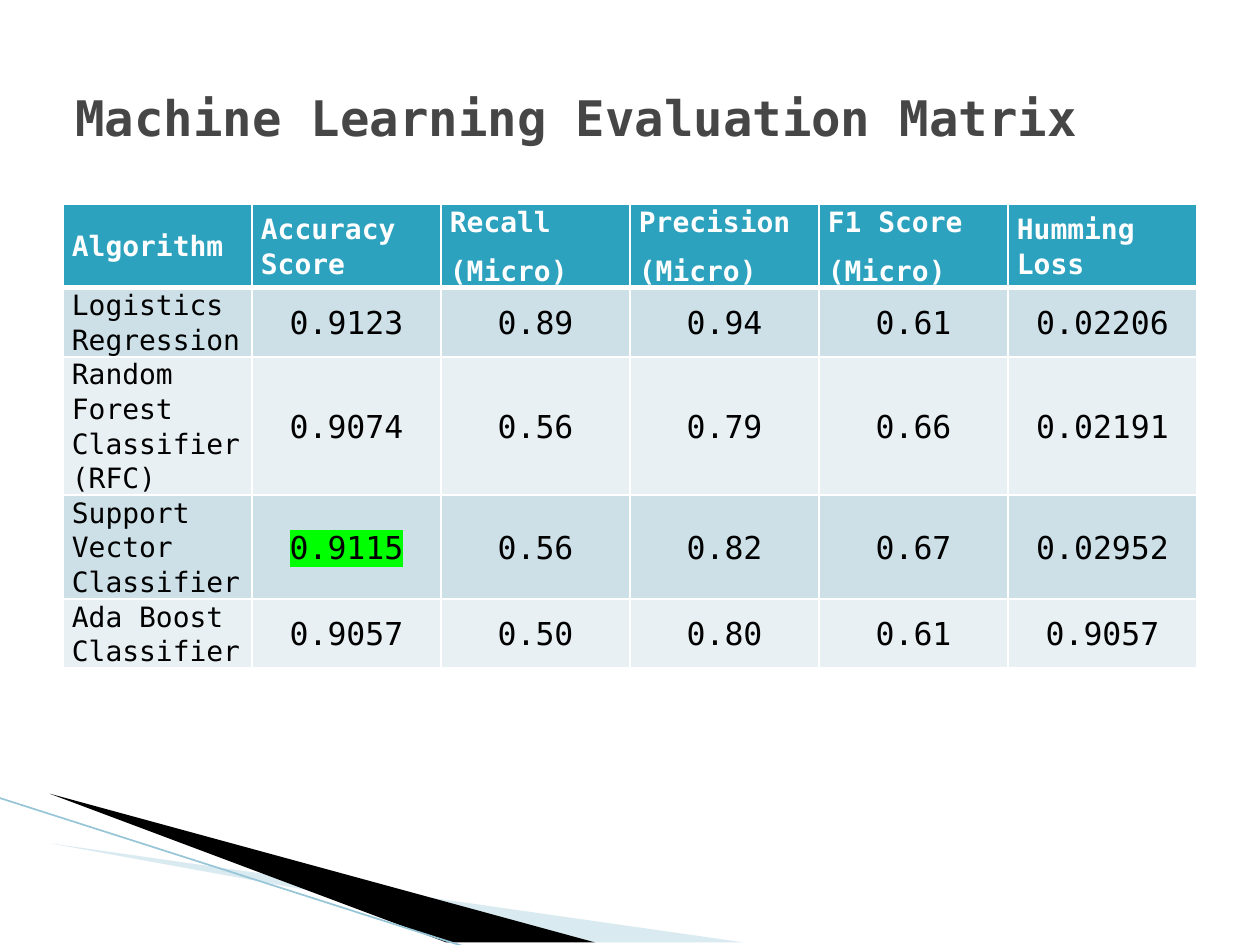
from dataclasses import dataclass

from lxml import etree
from pptx import Presentation
from pptx.dml.color import RGBColor
from pptx.enum.shapes import MSO_CONNECTOR
from pptx.enum.text import MSO_ANCHOR, PP_ALIGN
from pptx.oxml.ns import qn
from pptx.util import Cm, Pt

STRAIGHT = MSO_CONNECTOR.STRAIGHT
MIDDLE = MSO_ANCHOR.MIDDLE
LEFT, CENTER, JUSTIFY = PP_ALIGN.LEFT, PP_ALIGN.CENTER, PP_ALIGN.JUSTIFY


@dataclass(frozen=True)
class Theme:
    font: str = "DejaVu Sans Mono"
    title: str = "464646"
    header: str = "2DA2BF"
    bands: tuple[str, str] = ("CDE0E8", "E8F0F4")
    white: str = "FFFFFF"
    black: str = "000000"
    highlight: str = "00FF00"
    pale_wedge: str = "A0CBDC"
    edge: str = "97C5D8"
    title_size: int = 28
    label_size: int = 16
    score_size: int = 18


@dataclass(frozen=True)
class TextStyle:
    size: int
    color: str
    bold: bool = False
    align: PP_ALIGN = LEFT
    highlight: str | None = None


@dataclass(frozen=True)
class Wedge:
    points: tuple[tuple[float, float], ...]
    color: str
    opacity: int = 100


@dataclass(frozen=True)
class Result:
    algorithm: str
    scores: tuple[str, ...]
    highlighted: bool = False


THEME = Theme()
TITLE = TextStyle(THEME.title_size, THEME.title, bold=True)
HEADING = TextStyle(THEME.label_size, THEME.white, bold=True, align=JUSTIFY)
ALGORITHM = TextStyle(THEME.label_size, THEME.black)
SCORE = TextStyle(THEME.score_size, THEME.black, align=CENTER)
BEST_SCORE = TextStyle(THEME.score_size, THEME.black, align=CENTER,
                       highlight=THEME.highlight)

WEDGES = (
    Wedge(((1.4, 16.52), (15.11, 19.08), (11.58, 19.08)), THEME.pale_wedge, 40),
    Wedge(((1.35, 16.48), (11.61, 19.08), (9.45, 19.1)), THEME.black),
)
HEADINGS = (
    ("Algorithm",), ("Accuracy Score",), ("Recall", "(Micro)"),
    ("Precision", "(Micro)"), ("F1 Score", "(Micro)"), ("Humming Loss",),
)
RESULTS = (
    Result("Logistics Regression", ("0.9123", "0.89", "0.94", "0.61", "0.02206")),
    Result("Random Forest Classifier (RFC)",
           ("0.9074", "0.56", "0.79", "0.66", "0.02191")),
    Result("Support Vector Classifier",
           ("0.9115", "0.56", "0.82", "0.67", "0.02952"), highlighted=True),
    Result("Ada Boost Classifier", ("0.9057", "0.50", "0.80", "0.61", "0.9057")),
)


def rgb(color: str) -> RGBColor:
    return RGBColor.from_string(color)


def add_run(paragraph, text: str, style: TextStyle) -> None:
    paragraph.alignment = style.align
    run = paragraph.add_run()
    run.text = text
    run.font.name = THEME.font
    run.font.size = Pt(style.size)
    run.font.bold = style.bold
    run.font.color.rgb = rgb(style.color)
    if style.highlight:
        highlight = etree.Element(qn("a:highlight"))
        etree.SubElement(highlight, qn("a:srgbClr"), val=style.highlight)
        run.font._element.find(qn("a:solidFill")).addnext(highlight)


def add_wedge(slide, wedge: Wedge) -> None:
    start, *others = wedge.points
    builder = slide.shapes.build_freeform(*start, scale=Cm(1))
    builder.add_line_segments(others, close=True)
    shape = builder.convert_to_shape()
    shape.shadow.inherit = False
    shape.line.fill.background()
    shape.fill.solid()
    shape.fill.fore_color.rgb = rgb(wedge.color)
    if wedge.opacity < 100:
        color = shape._element.spPr.find(qn("a:solidFill"))[0]
        etree.SubElement(color, qn("a:alpha"), val=str(wedge.opacity * 1000))


def add_edge(slide) -> None:
    line = slide.shapes.add_connector(STRAIGHT, Cm(-0.03), Cm(16.08), Cm(9.42), Cm(19.1))
    line.line.color.rgb = rgb(THEME.edge)
    line.line.width = Pt(0.95)
    etree.SubElement(line._element.spPr, qn("a:effectLst"))


def add_title(slide, text: str) -> None:
    box = slide.shapes.add_textbox(Cm(1.27), Cm(0.76), Cm(22.86), Cm(3.18))
    box.text_frame.word_wrap = True
    box.text_frame.vertical_anchor = MIDDLE
    add_run(box.text_frame.paragraphs[0], text, TITLE)


def set_borders(cell, bottom_width: float) -> None:
    properties = cell._tc.get_or_add_tcPr()
    widths = {"a:lnL": 1, "a:lnR": 1, "a:lnT": 1, "a:lnB": bottom_width}
    for index, (tag, width) in enumerate(widths.items()):
        border = etree.Element(qn(tag), w=str(Pt(width)))
        fill = etree.SubElement(border, qn("a:solidFill"))
        etree.SubElement(fill, qn("a:srgbClr"), val=THEME.white)
        properties.insert(index, border)


def fill_cell(cell, lines: tuple[str, ...], style: TextStyle, fill: str,
              bottom_width: float = 1) -> None:
    cell.vertical_anchor = MIDDLE
    cell.margin_left = cell.margin_right = Cm(0.18)
    cell.margin_top = cell.margin_bottom = 0
    cell.fill.solid()
    cell.fill.fore_color.rgb = rgb(fill)
    set_borders(cell, bottom_width)
    frame = cell.text_frame
    for index, line in enumerate(lines):
        paragraph = frame.add_paragraph() if index else frame.paragraphs[0]
        paragraph.line_spacing = 1.07
        paragraph.space_after = Pt(8)
        add_run(paragraph, line, style)


def add_results_table(slide) -> None:
    row_count, column_count = len(RESULTS) + 1, len(HEADINGS)
    row_height = Cm(1.04)
    table = slide.shapes.add_table(row_count, column_count, Cm(1.27), Cm(4.12),
                                   Cm(22.86), row_height * row_count).table
    table.horz_banding = False
    for column, lines in enumerate(HEADINGS):
        fill_cell(table.cell(0, column), lines, HEADING, THEME.header, bottom_width=3)
    for row, result in enumerate(RESULTS, start=1):
        band = THEME.bands[(row - 1) % 2]
        fill_cell(table.cell(row, 0), (result.algorithm,), ALGORITHM, band)
        for column, score in enumerate(result.scores, start=1):
            style = BEST_SCORE if result.highlighted and column == 1 else SCORE
            fill_cell(table.cell(row, column), (score,), style, band)
    for cell in table.rows[1].cells:
        top = cell._tc.tcPr.find(qn("a:lnT"))
        top.set("w", str(Pt(3)))


def main() -> None:
    presentation = Presentation()
    presentation.slide_width, presentation.slide_height = Cm(25.4), Cm(19.05)
    slide = presentation.slides.add_slide(presentation.slide_layouts[6])
    for wedge in WEDGES:
        add_wedge(slide, wedge)
    add_edge(slide)
    add_results_table(slide)
    add_title(slide, "Machine Learning Evaluation Matrix")
    presentation.save("out.pptx")


if __name__ == "__main__":
    main()
